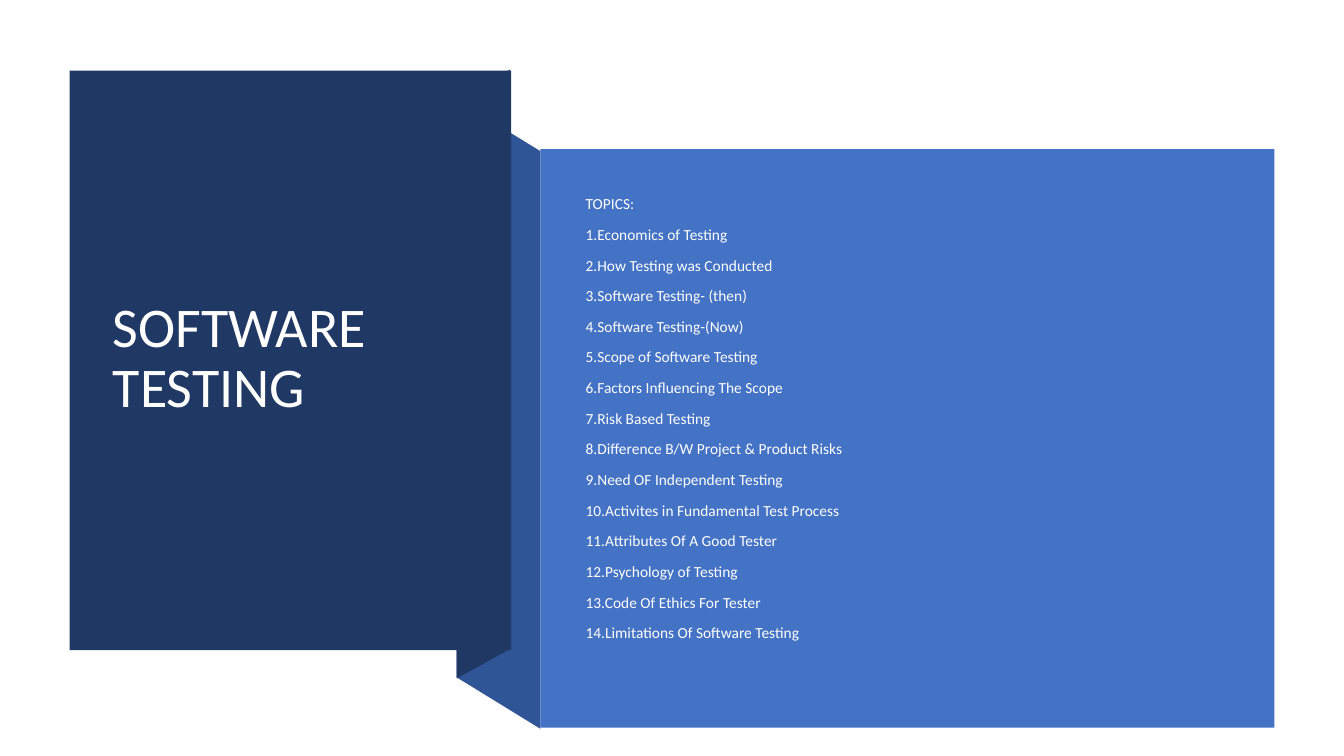
import pptx
import pptx.dml.color
import pptx.enum.shapes
import pptx.enum.text
import pptx.util

COLORS = {
    "navy": "203864",
    "fold": "2F5597",
    "blue": "4472C4",
    "white": "FFFFFF",
    "topic": "FEFFFF",
}
FONT = "Calibri"
PX = 9144  # EMU per px, 100 px to the inch

TOPICS = [
    "Economics of Testing",
    "How Testing was Conducted",
    "Software Testing- (then)",
    "Software Testing-(Now)",
    "Scope of Software Testing",
    "Factors Influencing The Scope",
    "Risk Based Testing",
    "Difference B/W Project & Product Risks",
    "Need OF Independent Testing",
    "Activites in Fundamental Test Process",
    "Attributes Of A Good Tester",
    "Psychology of Testing",
    "Code Of Ethics For Tester",
    "Limitations Of Software Testing",
]


class Deck:
    def __init__(self, width, height):
        self.prs = pptx.Presentation()
        self.prs.slide_width = width * PX
        self.prs.slide_height = height * PX
        self.s = self.prs.slides.add_slide(self.prs.slide_layouts[5])

    def color(self, name):
        return pptx.dml.color.RGBColor.from_string(COLORS[name])

    def paint(self, sp, fill):
        sp.shadow.inherit = False
        sp.fill.solid()
        sp.fill.fore_color.rgb = self.color(fill)
        sp.line.fill.background()

    def polygon(self, points, fill):
        builder = self.s.shapes.build_freeform(*points[0], scale=PX)
        builder.add_line_segments(points[1:], close=True)
        self.paint(builder.convert_to_shape(), fill)

    def rect(self, x, y, w, h, fill):
        kind = pptx.enum.shapes.MSO_SHAPE.RECTANGLE
        self.paint(self.s.shapes.add_shape(kind, x * PX, y * PX, w * PX, h * PX), fill)

    def set_lines(self, sp, lines, size, color, space=0):
        tf = sp.text_frame
        tf.word_wrap = True
        tf.auto_size = pptx.enum.text.MSO_AUTO_SIZE.NONE
        tf.vertical_anchor = pptx.enum.text.MSO_ANCHOR.MIDDLE
        tf.text = "\n".join(lines)
        for i, p in enumerate(tf.paragraphs):
            p.alignment = pptx.enum.text.PP_ALIGN.LEFT
            p.line_spacing = 0.9
            p.space_before = pptx.util.Pt(space if i else 0)
            p.font.name = FONT
            p.font.size = pptx.util.Pt(size)
            p.font.color.rgb = self.color(color)

    def title(self, x, y, w, h, text, size, color):
        sp = self.s.shapes.title
        sp.left, sp.top, sp.width, sp.height = x * PX, y * PX, w * PX, h * PX
        self.set_lines(sp, [text], size, color)
        # Bring the title in front of the panel
        sp.element.getparent().append(sp.element)

    def text(self, x, y, w, h, lines, size, color, space, bottom):
        sp = self.s.shapes.add_textbox(x * PX, y * PX, w * PX, h * PX)
        self.set_lines(sp, lines, size, color, space)
        sp.text_frame.margin_bottom = bottom * PX


def main():
    deck = Deck(1333, 750)

    # Folded ribbon behind the panels
    deck.polygon([(536, 723), (453, 672), (453, 99), (536, 150)], "fold")
    deck.polygon([(506, 644), (453, 673), (453, 98), (506, 69)], "navy")

    # Title panel
    deck.rect(69, 70, 438, 575, "navy")
    deck.title(102, 107, 371, 499, "SOFTWARE TESTING", 40, "white")

    # Topics panel
    deck.rect(536, 148, 728, 574, "blue")
    lines = ["TOPICS:"] + [f"{n}.{topic}" for n, topic in enumerate(TOPICS, 1)]
    deck.text(571, 188, 651, 474, lines, 11, "topic", space=10, bottom=23)

    deck.prs.save("out.pptx")


if __name__ == "__main__":
    main()
